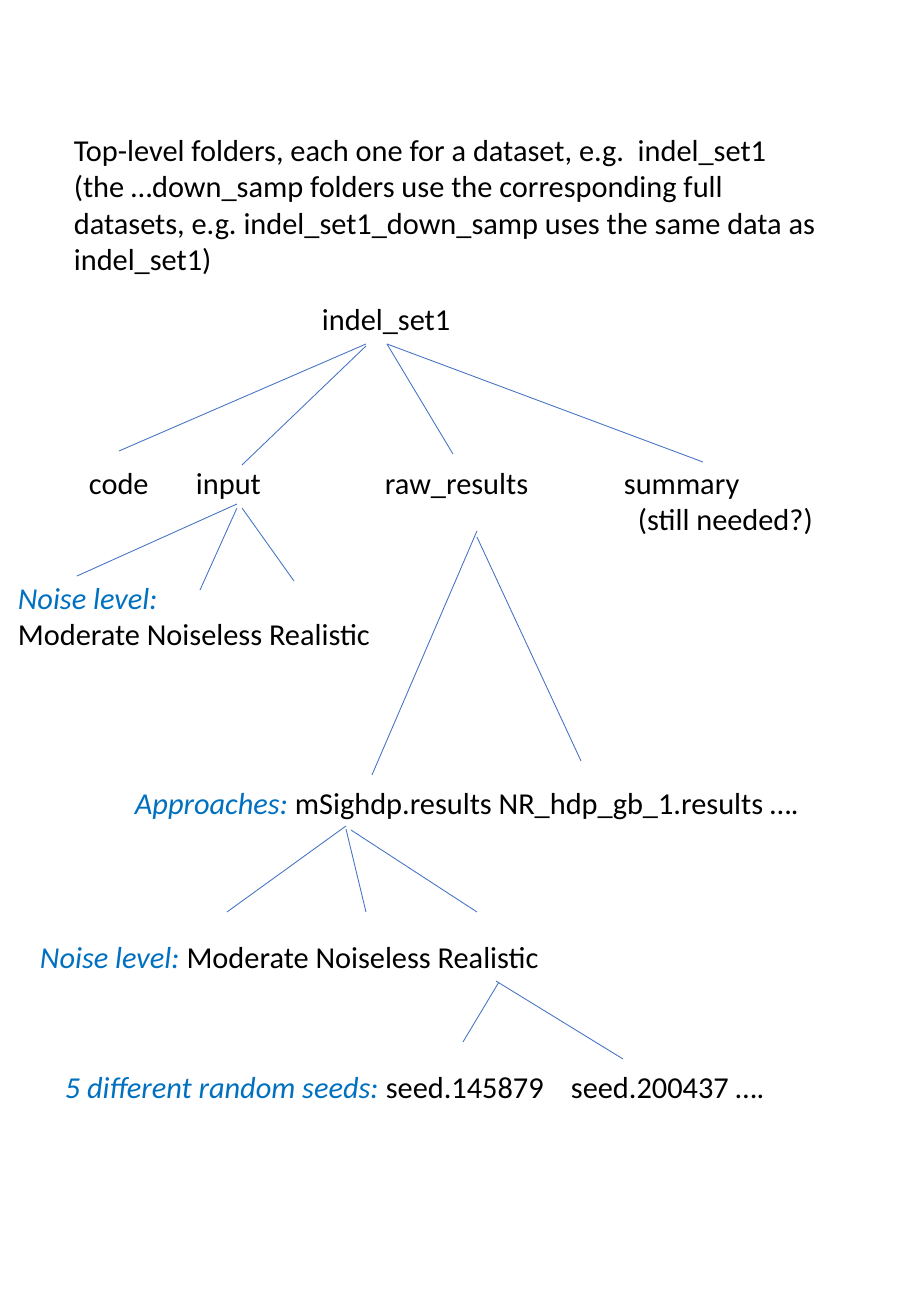
from lxml.etree import SubElement
from pptx import Presentation
from pptx.dml.color import RGBColor
from pptx.enum.shapes import MSO_CONNECTOR as Connector
from pptx.enum.text import MSO_AUTO_SIZE as AutoSize
from pptx.oxml.ns import qn
from pptx.util import Emu, Pt

PX = 914400 / 121.5
SLIDE_SIZE = (911, 1316)
BLACK, LABEL_BLUE, LINE_BLUE = "000000", "0070C0", "4472C4"

# Each paragraph is a pair: italic label, plain text.
TEXTS = [
    ((62, 125, 784, 159), [
        ("", "Top-level folders, each one for a dataset, e.g.  indel_set1"),
        ("", "(the …down_samp folders use the corresponding full datasets, "
             "e.g. indel_set1_down_samp uses the same data as indel_set1)")], ()),
    ((310, 294, 154, 49), [("", "indel_set1")], ()),
    ((77, 458, 785, 86), [
        ("", "code\tinput\traw_results\tsummary"),
        ("", "\t\t\t\t(still needed?)")], (107, 296, 535, 549)),
    ((6, 573, 380, 86), [
        ("Noise level:", ""),
        ("", "Moderate Noiseless Realistic")], ()),
    ((123, 778, 697, 49), [
        ("Approaches: ", "mSighdp.results NR_hdp_gb_1.results ….")], ()),
    ((28, 932, 531, 49), [
        ("Noise level: ", "Moderate Noiseless Realistic")], ()),
    ((53, 1062, 729, 49), [
        ("5 different random seeds: ", "seed.145879\tseed.200437 ….")], (506,)),
]

BRANCHES = [
    ((499, 982), (463, 1042)),
    ((496, 981), (623, 1059)),
    ((346, 826), (227, 912)),
    ((346, 829), (366, 912)),
    ((351, 830), (477, 912)),
    ((477, 531), (372, 775)),
    ((477, 537), (581, 761)),
    ((237, 504), (77, 576)),
    ((237, 508), (200, 590)),
    ((242, 508), (294, 581)),
    ((366, 344), (119, 451)),
    ((366, 346), (242, 465)),
    ((387, 344), (703, 462)),
    ((387, 344), (453, 454)),
]


def px(length):
    return Emu(round(length * PX))


def color(value):
    return RGBColor.from_string(value)


def add_span(para, text, size=18, fill=BLACK, italic=False):
    span = para.add_run()
    span.text = text
    span.font.name = "Calibri"
    span.font.size = Pt(size)
    span.font.italic = italic
    span.font.color.rgb = color(fill)


def add_tabs(para, stops):
    tab_list = SubElement(para._p.get_or_add_pPr(), qn("a:tabLst"))
    for stop in stops:
        SubElement(tab_list, qn("a:tab"), pos=str(px(stop)), algn="l")


def add_text(slide, place, lines, stops):
    frame = slide.shapes.add_textbox(*map(px, place)).text_frame
    frame.word_wrap = True
    frame.auto_size = AutoSize.SHAPE_TO_FIT_TEXT
    for index, (label, text) in enumerate(lines):
        para = frame.add_paragraph() if index else frame.paragraphs[0]
        if stops:
            add_tabs(para, stops)
        if label:
            add_span(para, label, fill=LABEL_BLUE, italic=True)
        if text:
            add_span(para, text)


def add_branch(slide, start, end):
    branch = slide.shapes.add_connector(Connector.STRAIGHT, *map(px, start + end))
    branch.line.color.rgb = color(LINE_BLUE)
    branch.line.width = Pt(0.5)
    SubElement(branch._element.spPr, qn("a:effectLst"))


def main():
    deck = Presentation()
    deck.slide_width, deck.slide_height = map(px, SLIDE_SIZE)
    page = deck.slides.add_slide(deck.slide_layouts[6])
    for place, lines, stops in TEXTS:
        add_text(page, place, lines, stops)
    for start, end in BRANCHES:
        add_branch(page, start, end)
    deck.save("out.pptx")


if __name__ == "__main__":
    main()
